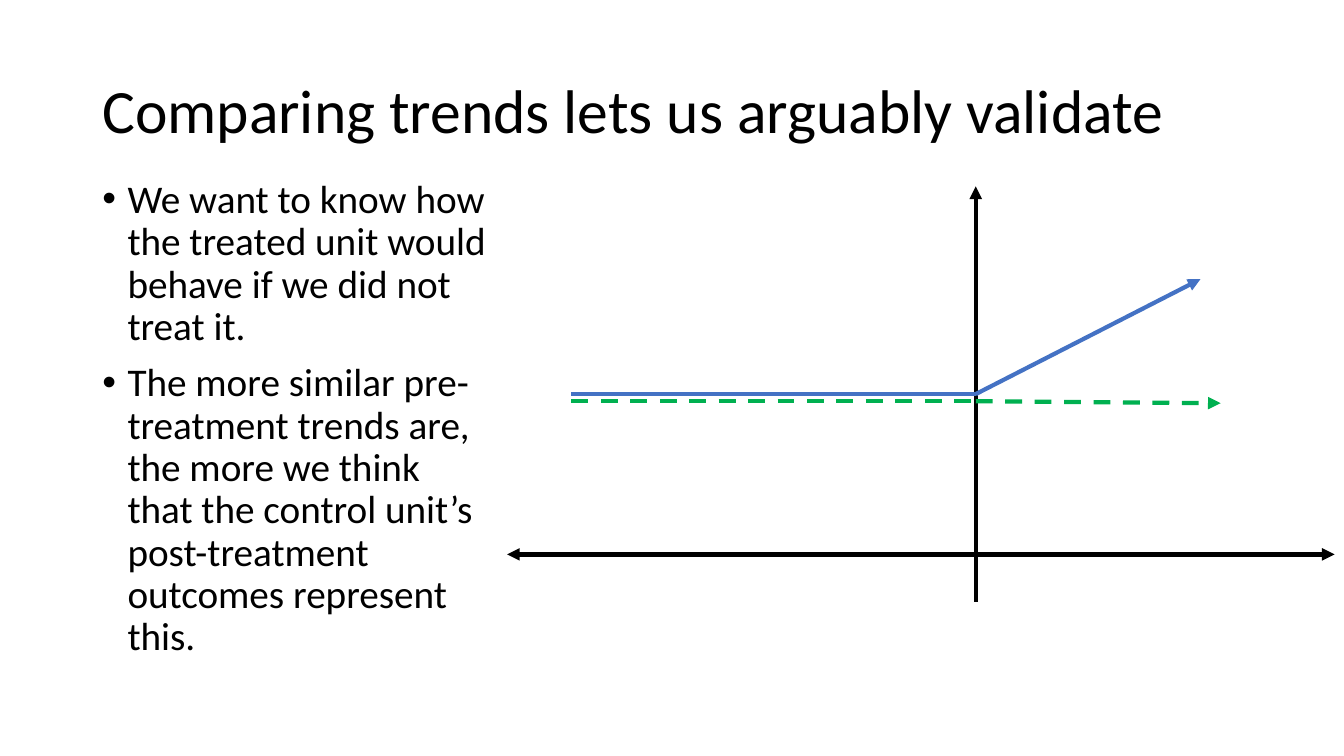
"""Builds a slide on comparing pre-treatment trends of treated and control units."""
import pptx
import pptx.dml.color
import pptx.enum.dml
import pptx.enum.shapes
import pptx.enum.text
import pptx.oxml.ns
import pptx.util
from lxml import etree

Pt = pptx.util.Pt

TITLE = "Comparing trends lets us arguably validate"
POINTS = [
    "We want to know how the treated unit would behave if we did not treat it.",
    "The more similar pre-treatment trends are, the more we think that "
    "the control unit’s post-treatment outcomes represent this.",
]
THEME = {
    "font": "Calibri", "title": 44, "body": 28, "line": 3,
    "ink": "000000", "treated": "4472C4", "control": "00B050",
}
TITLE_BOX = (66, 28.8, 828, 104.4)
BODY_BOX = (66, 124.8, 289.5, 385)
ONSET, START = 697, 408.2
AXES = [
    {"begin": (ONSET, 429.8), "end": (ONSET, 133.2), "arrows": ("tailEnd",)},
    {"begin": (953.3, 396), "end": (362.2, 396), "arrows": ("headEnd", "tailEnd")},
]
TRENDS = [
    {"color": "treated", "level": 281.5, "end": (857.5, 199.4), "dashed": False},
    {"color": "control", "level": 286.6, "end": (871.9, 288), "dashed": True},
]


def add_sub(parent, tag, **attrs):
    return etree.SubElement(parent, pptx.oxml.ns.qn(tag), attrs)


def rgb(name):
    return pptx.dml.color.RGBColor.from_string(THEME[name])


def add_text(slide, paragraphs, box, size, anchor="TOP", bullet=None, gap=0):
    sp = slide.shapes.add_textbox(*map(Pt, box))
    tf = sp.text_frame
    tf.word_wrap = True
    tf.vertical_anchor = pptx.enum.text.MSO_ANCHOR[anchor]
    for i, text in enumerate(paragraphs):
        p = tf.add_paragraph() if i else tf.paragraphs[0]
        p.line_spacing = 0.9
        p.space_before = Pt(gap if i else 0)
        if bullet:
            ppr = p._p.get_or_add_pPr()
            ppr.set("marL", str(Pt(18)))
            ppr.set("indent", str(Pt(-18)))
            add_sub(ppr, "a:buFont", typeface="Arial")
            add_sub(ppr, "a:buChar", char=bullet)
        r = p.add_run()
        r.text = text
        r.font.name = THEME["font"]
        r.font.size = Pt(THEME[size])
        r.font.color.rgb = rgb("ink")


def add_line(slide, begin, end, color="ink", dashed=False, arrows=()):
    kind = pptx.enum.shapes.MSO_CONNECTOR.STRAIGHT
    sp = slide.shapes.add_connector(kind, *map(Pt, begin + end))
    sp.line.color.rgb = rgb(color)
    sp.line.width = Pt(THEME["line"])
    if dashed:
        sp.line.dash_style = pptx.enum.dml.MSO_LINE.DASH
    for arrow in arrows:
        add_sub(sp.line._get_or_add_ln(), "a:" + arrow, type="triangle")
    add_sub(sp._element.spPr, "a:effectLst")


def main():
    prs = pptx.Presentation()
    prs.slide_width, prs.slide_height = Pt(960), Pt(540)
    slide = prs.slides.add_slide(prs.slide_layouts[6])
    add_text(slide, [TITLE], TITLE_BOX, "title", anchor="MIDDLE")
    add_text(slide, POINTS, BODY_BOX, "body", bullet="•", gap=10)
    for axis in AXES:
        add_line(slide, **axis)
    for trend in TRENDS:
        onset = (ONSET, trend["level"])
        look = {"color": trend["color"], "dashed": trend["dashed"]}
        add_line(slide, (START, trend["level"]), onset, **look)
        add_line(slide, onset, trend["end"], arrows=("tailEnd",), **look)
    prs.save("out.pptx")


if __name__ == "__main__":
    main()
